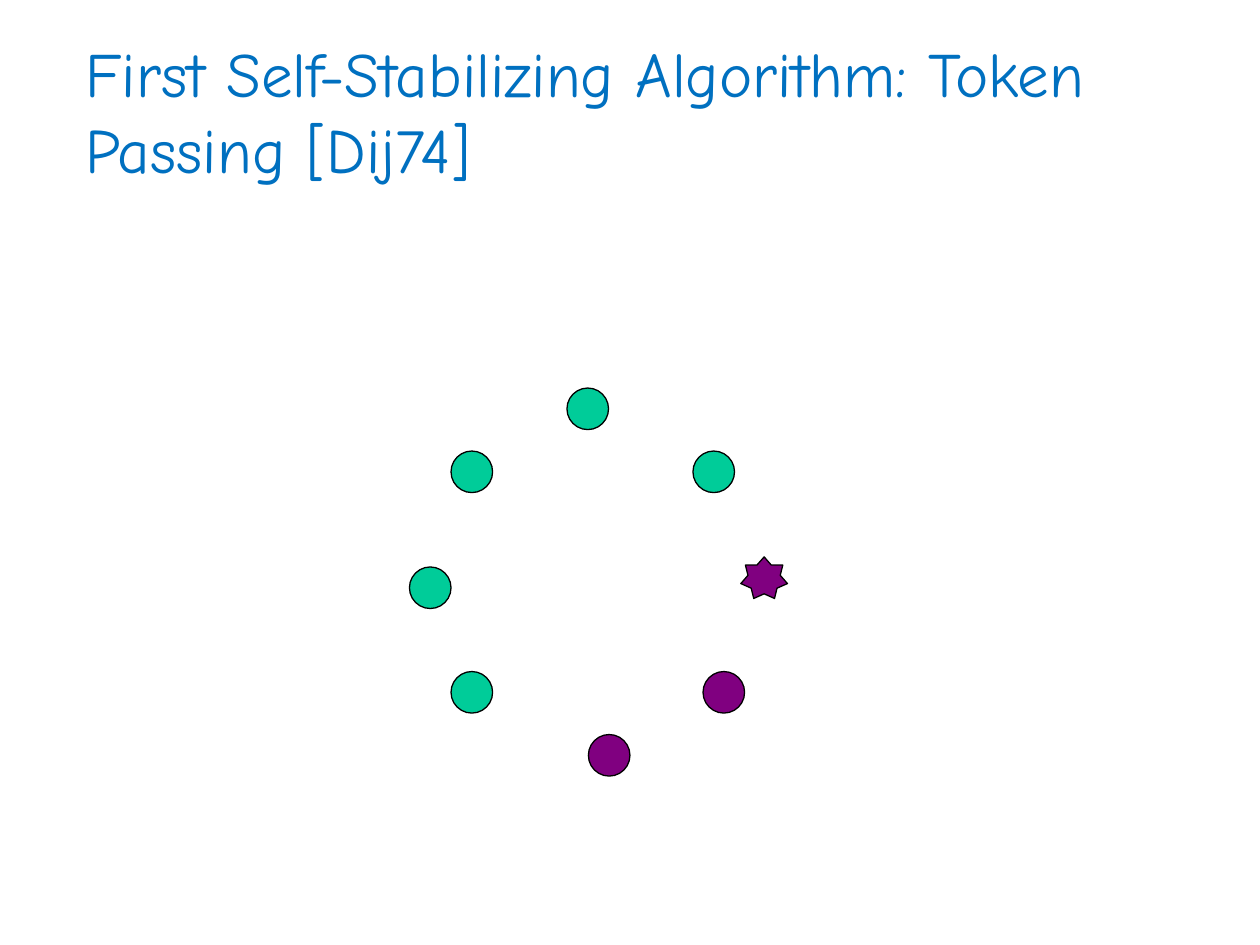
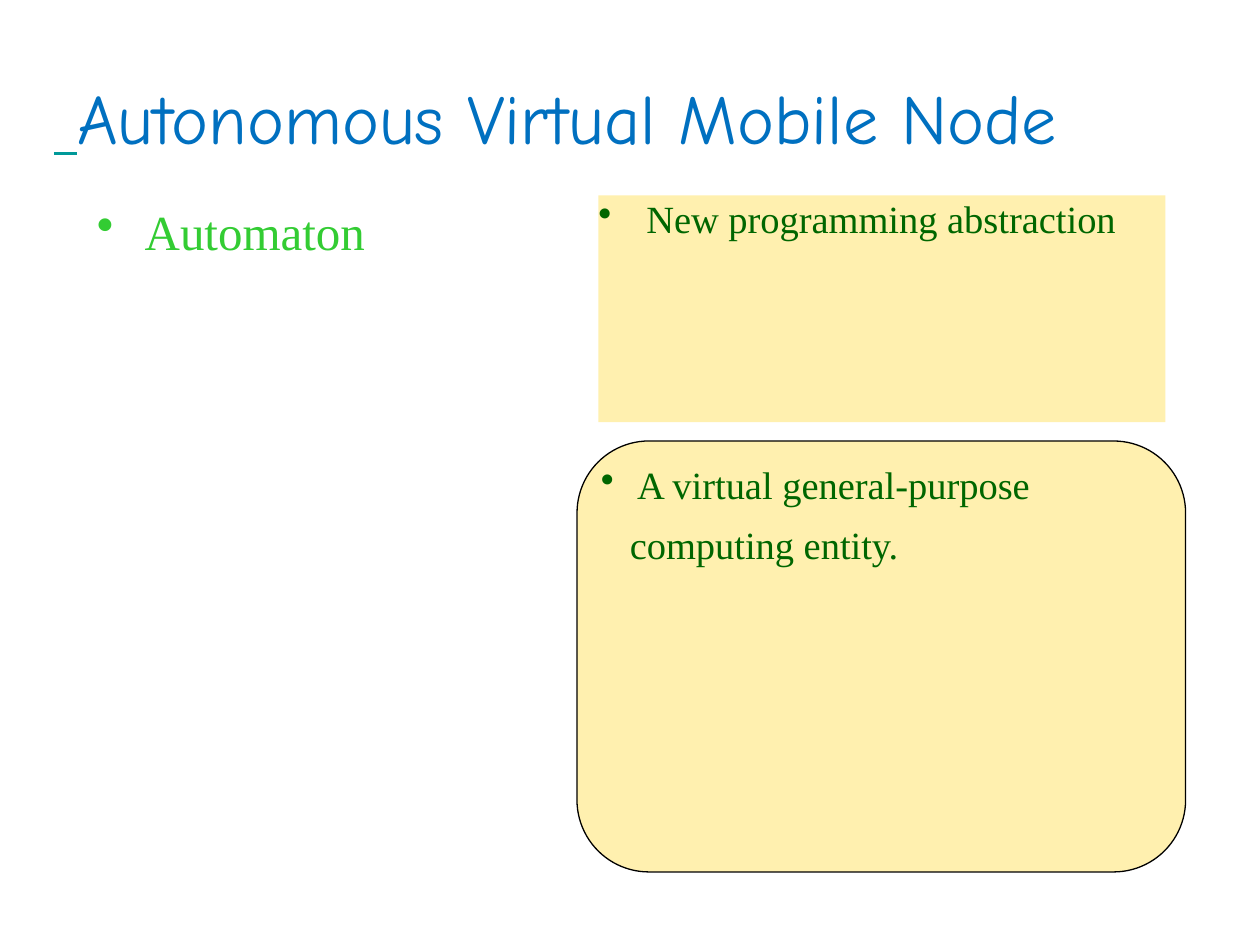
from lxml import etree
from pptx import Presentation
from pptx import util as u
from pptx.dml.color import RGBColor
from pptx.enum import shapes, text
from pptx.oxml.ns import qn

COLORS = {
    "title": "0070C0", "underline": "009999", "outline": "000000",
    "idle": "00CC99", "passed": "800080", "panel": "FFF0AF",
    "automaton": "33CC33", "note": "006600",
}
TITLE_FONT = "Comic Neue"
BODY_FONT = "Times New Roman"
KINDS = shapes.MSO_SHAPE


def add_figure(page, kind, place, fill, outlined=True):
    figure = page.shapes.add_shape(kind, *map(u.Inches, place))
    figure.shadow.inherit = False
    figure.fill.solid()
    figure.fill.fore_color.rgb = RGBColor.from_string(COLORS[fill])
    if outlined:
        figure.line.color.rgb = RGBColor.from_string(COLORS["outline"])
        figure.line.width = u.Pt(0.75)
    else:
        figure.line.fill.background()
    return figure


def write(box, spans, font, size, anchor=text.MSO_ANCHOR.TOP, hang=0):
    frame = box.text_frame
    frame.word_wrap = True
    frame.vertical_anchor = anchor
    para = frame.paragraphs[0]
    para.alignment = text.PP_ALIGN.LEFT
    if hang:
        properties = para._p.get_or_add_pPr()
        properties.set("marL", str(u.Inches(hang)))
        properties.set("indent", str(-u.Inches(hang)))
        etree.SubElement(properties, qn("a:buChar"), char="•")
    for words, color, underlined in spans:
        span = para.add_run()
        span.text = words
        span.font.name = font
        span.font.size = u.Pt(size)
        span.font.underline = underlined
        span.font.color.rgb = RGBColor.from_string(COLORS[color])
    return para


deck = Presentation()
deck.slide_width = u.Inches(10)
deck.slide_height = u.Inches(7.5)

titles = [
    ((0.58, 0.25, 8.5, 1.25), 36,
     [("First Self-Stabilizing Algorithm: Token Passing [Dij74]", "title", False)]),
    ((0.33, 0.3, 9.42, 1.25), 40,
     [(" ", "underline", True), ("Autonomous Virtual Mobile Node", "title", False)]),
]
pages = []
for place, size, spans in titles:
    page = deck.slides.add_slide(deck.slide_layouts[6])
    box = page.shapes.add_textbox(*map(u.Inches, place))
    write(box, spans, TITLE_FONT, size, text.MSO_ANCHOR.MIDDLE)
    pages.append(page)
ring_page, node_page = pages

NODE = 0.33
ring = {
    "idle": [(4.5, 3.08), (5.5, 3.58), (3.58, 3.58), (3.58, 5.33), (3.25, 4.5)],
    "passed": [(5.58, 5.33), (4.67, 5.83)],
}
for state, corners in ring.items():
    for left, top in corners:
        add_figure(ring_page, KINDS.OVAL, (left, top, NODE, NODE), state)
add_figure(ring_page, KINDS.STAR_7_POINT, (5.88, 4.42, 0.37, NODE), "passed")

automaton = node_page.shapes.add_textbox(*map(u.Inches, (0.67, 1.55, 3.75, 1.8)))
write(automaton, [("Automaton", "automaton", False)], BODY_FONT, 28, hang=0.38)

abstraction = add_figure(node_page, KINDS.RECTANGLE, (4.75, 1.55, 4.5, 1.8), "panel", False)
frame = abstraction.text_frame
frame.margin_left = frame.margin_right = frame.margin_top = frame.margin_bottom = 0
write(abstraction, [("New programming abstraction", "note", False)], BODY_FONT, 22, hang=0.38)

entity = add_figure(node_page, KINDS.ROUNDED_RECTANGLE, (4.58, 3.5, 4.83, 3.42), "panel")
entity.adjustments[0] = 0.167
entity_text = node_page.shapes.add_textbox(*map(u.Inches, (4.67, 3.5, 4.83, 3.42)))
para = write(entity_text, [(" A virtual general-purpose computing entity.", "note", False)],
             BODY_FONT, 22, hang=0.23)
para.line_spacing = 1.3

deck.save("out.pptx")
